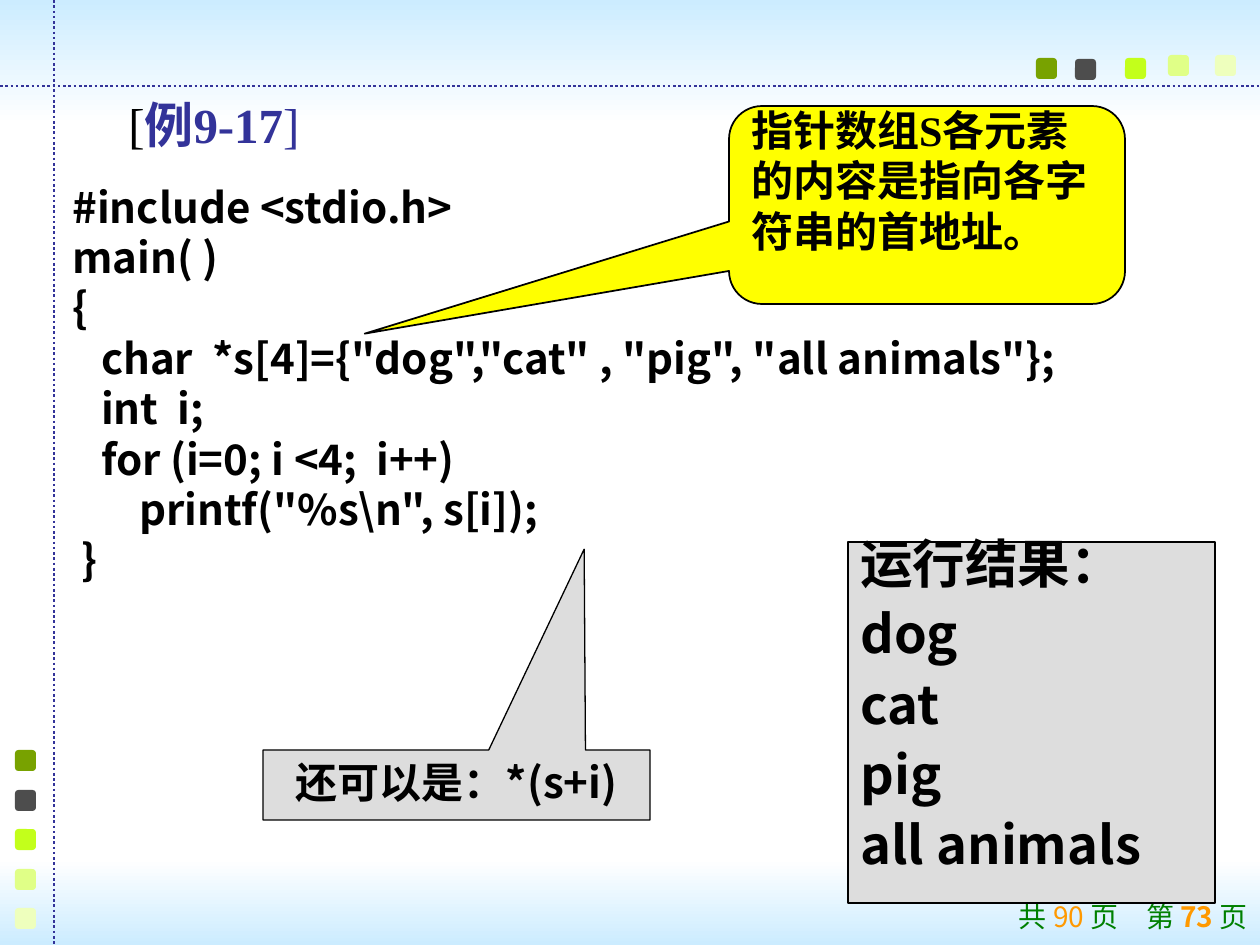
from dataclasses import dataclass

from lxml import etree
from pptx import Presentation
from pptx import util as u
from pptx.dml.color import RGBColor
from pptx.enum import dml, shapes, text
from pptx.oxml import ns

PX = 914400 / 126
W, H = 1260, 945


@dataclass(frozen=True)
class Theme:
    sky: str = "CCECFF"
    white: str = "FFFFFF"
    navy: str = "333399"
    ink: str = "000000"
    green: str = "008000"
    gold: str = "FF9900"
    note: str = "FFFF00"
    gray: str = "DDDDDD"
    dots: tuple = ("78A200", "4D4D4D", "C3FF1B", "E0FF87", "EEFFBD")
    sans: str = "Noto Sans CJK SC"
    serif: str = "Times New Roman"
    foot: int = 16
    body: int = 24
    head: int = 28
    out: int = 30


T = Theme()
KIND = shapes.MSO_SHAPE
ALIGN = text.PP_ALIGN

CODE = r'''#include <stdio.h>
main( )
{
   char  *s[4]={"dog","cat" , "pig", "all animals"};
   int  i;
   for (i=0; i <4;  i++)
       printf("%s\n", s[i]);
 }'''


def px(n):
    return u.Emu(round(n * PX))


def rgb(hue):
    return RGBColor.from_string(hue)


def block(slide, kind, box, fill, line=None, width=0.75):
    part = slide.shapes.add_shape(kind, *map(px, box))
    part.shadow.inherit = False
    if fill:
        part.fill.solid()
        part.fill.fore_color.rgb = rgb(fill)
    if line:
        part.line.color.rgb = rgb(line)
        part.line.width = u.Pt(width)
    else:
        part.line.fill.background()
    return part


def label(slide, box):
    part = slide.shapes.add_textbox(*map(px, box))
    part.text_frame.word_wrap = True
    return part.text_frame


def style(para, size, face=T.sans, hue=T.ink, bold=True, align=ALIGN.LEFT):
    para.alignment = align
    font = para.font
    font.size, font.name, font.bold = u.Pt(size), face, bold
    font.color.rgb = rgb(hue)


def runs(para, parts):
    for words, hue, bold in parts:
        run = para.add_run()
        run.text = words
        run.font.color.rgb = rgb(hue)
        run.font.bold = bold


def band(slide, box, top, base):
    part = block(slide, KIND.RECTANGLE, box, None)
    part.fill.gradient()
    part.fill.gradient_angle = 270
    for stop, hue in zip(part.fill.gradient_stops, (top, base)):
        stop.color.rgb = rgb(hue)


def rule(slide, *ends):
    line = slide.shapes.add_connector(shapes.MSO_CONNECTOR.STRAIGHT, *map(px, ends))
    line.line.color.rgb = rgb(T.navy)
    line.line.width = u.Pt(1.5)
    line.line.dash_style = dml.MSO_LINE.ROUND_DOT
    etree.SubElement(line._element.spPr, ns.qn("a:effectLst"))


def frame(slide, box):
    x, y, w, h = box
    # Sky bands and dotted rules
    band(slide, (x, y, w, 125), T.sky, T.white)
    band(slide, (x, y + h - 86, w, 86), T.white, T.sky)
    rule(slide, x, y + 86, x + w, y + 86)
    rule(slide, x + 54, y, x + 54, y + h)
    # Coloured dots along the top and the left side
    row = ((1036, 58), (1075, 59), (1125, 58), (1168, 55), (1215, 55))
    col = [(15, 750 + round(39.6 * i)) for i in range(len(T.dots))]
    for spots in (row, col):
        for (dx, dy), hue in zip(spots, T.dots):
            block(slide, KIND.ROUNDED_RECTANGLE, (x + dx, y + dy, 21, 21), hue)


def title(slide, box):
    body = label(slide, box)
    body.vertical_anchor = text.MSO_ANCHOR.MIDDLE
    para = body.paragraphs[0]
    style(para, T.head, T.serif)
    runs(para, (("[", T.ink, False), ("例9-17", T.navy, True), ("]", T.navy, False)))


def code(slide, box):
    body = label(slide, box)
    body.text = CODE
    for para in body.paragraphs:
        style(para, T.body)


def note(slide, box):
    part = block(slide, KIND.ROUNDED_RECTANGULAR_CALLOUT, box, T.note, T.ink, 1)
    part.adjustments[0], part.adjustments[1] = -1.42, 0.65
    body = part.text_frame
    body.word_wrap = True
    body.vertical_anchor = text.MSO_ANCHOR.MIDDLE
    body.margin_bottom = px(56)
    body.text = "指针数组S各元素的内容是指向各字符串的首地址。"
    style(body.paragraphs[0], T.body, T.serif)


def result(slide, box):
    body = block(slide, KIND.RECTANGLE, box, T.gray, T.ink).text_frame
    body.word_wrap = True
    body.vertical_anchor = text.MSO_ANCHOR.TOP
    body.text = "运行结果：\ndog\ncat\npig\nall animals"
    for i, para in enumerate(body.paragraphs):
        para.line_spacing = 0.7
        if i:
            para.space_before = u.Pt(T.out / 2)
        style(para, T.out)


def hint(slide, box):
    part = block(slide, KIND.RECTANGULAR_CALLOUT, box, T.gray, T.ink)
    part.adjustments[0], part.adjustments[1] = 0.33, -3.37
    body = part.text_frame
    body.word_wrap = True
    body.vertical_anchor = text.MSO_ANCHOR.TOP
    body.text = "还可以是：*(s+i)"
    style(body.paragraphs[0], T.body, align=ALIGN.CENTER)


def footer(slide, box):
    para = label(slide, box).paragraphs[0]
    style(para, T.foot, bold=False, align=ALIGN.RIGHT)
    runs(para, (("共 ", T.green, False), ("90 ", T.gold, False),
                ("页　第 ", T.green, False), ("73 ", T.gold, True),
                ("页", T.green, False)))


def main():
    deck = Presentation()
    deck.slide_width, deck.slide_height = px(W), px(H)
    slide = deck.slides.add_slide(deck.slide_layouts[6])
    frame(slide, (0, 0, W, H))
    footer(slide, (929, 893, 331, 45))
    title(slide, (116, 48, 1071, 152))
    code(slide, (60, 175, 1206, 567))
    note(slide, (729, 106, 396, 198))
    result(slide, (848, 542, 367, 361))
    hint(slide, (263, 750, 387, 70))
    deck.save("out.pptx")


if __name__ == "__main__":
    main()
